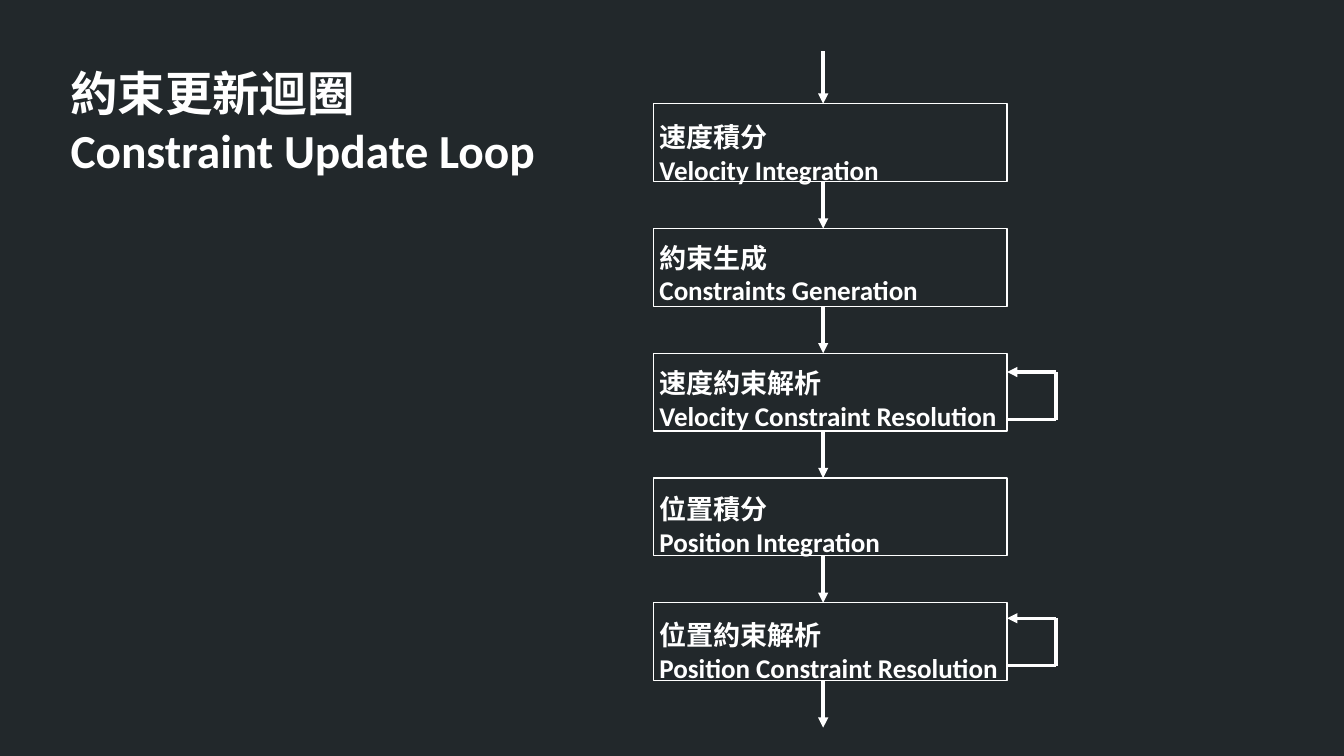
from dataclasses import dataclass
from typing import Optional

from lxml import etree
from pptx import Presentation
from pptx.dml.color import RGBColor
from pptx.enum.shapes import MSO_CONNECTOR, MSO_SHAPE
from pptx.enum.text import MSO_AUTO_SIZE
from pptx.oxml.ns import qn
from pptx.slide import Slide
from pptx.util import Cm, Pt

RECTANGLE = MSO_SHAPE.RECTANGLE
STRAIGHT = MSO_CONNECTOR.STRAIGHT
FIT_TEXT = MSO_AUTO_SIZE.SHAPE_TO_FIT_TEXT

BACKGROUND = "22282B"
WHITE = "FFFFFF"
FONT = "Calibri"

BOX_LEFT, FIRST_BOX_TOP = 13.61, 2.16
BOX_WIDTH, BOX_HEIGHT = 7.37, 1.62
BOX_RIGHT = BOX_LEFT + BOX_WIDTH
BOX_PITCH = 2.6
LABEL_LEFT, LABEL_WIDTH = 13.49, 9.4
FLOW_X, FLOW_TOP = 17.15, 1.07
LOOP_X, LOOP_HEIGHT = 22.0, 0.99


@dataclass
class Step:
    chinese: str
    english: str
    label_offset: float
    loop_offset: Optional[float] = None


STEPS = [
    Step("速度積分", "Velocity Integration", 0.23),
    Step("約束生成", "Constraints Generation", 0.14),
    Step("速度約束解析", "Velocity Constraint Resolution", 0.16, 0.39),
    Step("位置積分", "Position Integration", 0.18),
    Step("位置約束解析", "Position Constraint Resolution", 0.2, 0.32),
]


def color(value: str) -> RGBColor:
    return RGBColor.from_string(value)


def add_text(slide: Slide, lines: list[str], left: float, top: float,
             width: float, height: float, size: int) -> None:
    shape = slide.shapes.add_textbox(Cm(left), Cm(top), Cm(width), Cm(height))
    frame = shape.text_frame
    frame.word_wrap = True
    frame.auto_size = FIT_TEXT
    frame.text = "\n".join(lines)
    for paragraph in frame.paragraphs:
        paragraph.font.name = FONT
        paragraph.font.size = Pt(size)
        paragraph.font.bold = True
        paragraph.font.color.rgb = color(WHITE)


def add_box(slide: Slide, top: float) -> None:
    shape = slide.shapes.add_shape(
        RECTANGLE, Cm(BOX_LEFT), Cm(top), Cm(BOX_WIDTH), Cm(BOX_HEIGHT))
    shape.shadow.inherit = False
    shape.fill.background()
    shape.line.color.rgb = color(WHITE)
    shape.line.width = Pt(0)


def add_line(slide: Slide, start: tuple[float, float],
             end: tuple[float, float], arrow: bool = False) -> None:
    connector = slide.shapes.add_connector(
        STRAIGHT, Cm(start[0]), Cm(start[1]), Cm(end[0]), Cm(end[1]))
    connector.line.color.rgb = color(WHITE)
    connector.line.width = Pt(0)
    properties = connector._element.spPr
    etree.SubElement(properties, qn("a:effectLst"))
    if arrow:
        outline = properties.find(qn("a:ln"))
        etree.SubElement(outline, qn("a:tailEnd"), type="triangle")


def add_loop(slide: Slide, top: float) -> None:
    bottom = top + LOOP_HEIGHT
    add_line(slide, (BOX_RIGHT, bottom), (LOOP_X, bottom))
    add_line(slide, (LOOP_X, top), (LOOP_X, bottom))
    add_line(slide, (LOOP_X, top), (BOX_RIGHT, top), arrow=True)


def add_step(slide: Slide, step: Step, top: float) -> None:
    add_text(slide, [step.chinese, step.english], LABEL_LEFT,
             top + step.label_offset, LABEL_WIDTH, BOX_HEIGHT, 16)
    add_box(slide, top)
    bottom = top + BOX_HEIGHT
    add_line(slide, (FLOW_X, bottom), (FLOW_X, top + BOX_PITCH), arrow=True)
    if step.loop_offset is not None:
        add_loop(slide, top + step.loop_offset)


def main() -> None:
    presentation = Presentation()
    presentation.slide_width = Cm(28)
    presentation.slide_height = Cm(15.75)
    slide = presentation.slides.add_slide(presentation.slide_layouts[6])
    slide.background.fill.solid()
    slide.background.fill.fore_color.rgb = color(BACKGROUND)

    add_text(slide, ["約束更新迴圈", "Constraint Update Loop"],
             1.22, 1.22, 12.5, 2.67, 28)
    add_line(slide, (FLOW_X, FLOW_TOP), (FLOW_X, FIRST_BOX_TOP), arrow=True)
    for index, step in enumerate(STEPS):
        add_step(slide, step, FIRST_BOX_TOP + index * BOX_PITCH)

    presentation.save("out.pptx")


if __name__ == "__main__":
    main()
